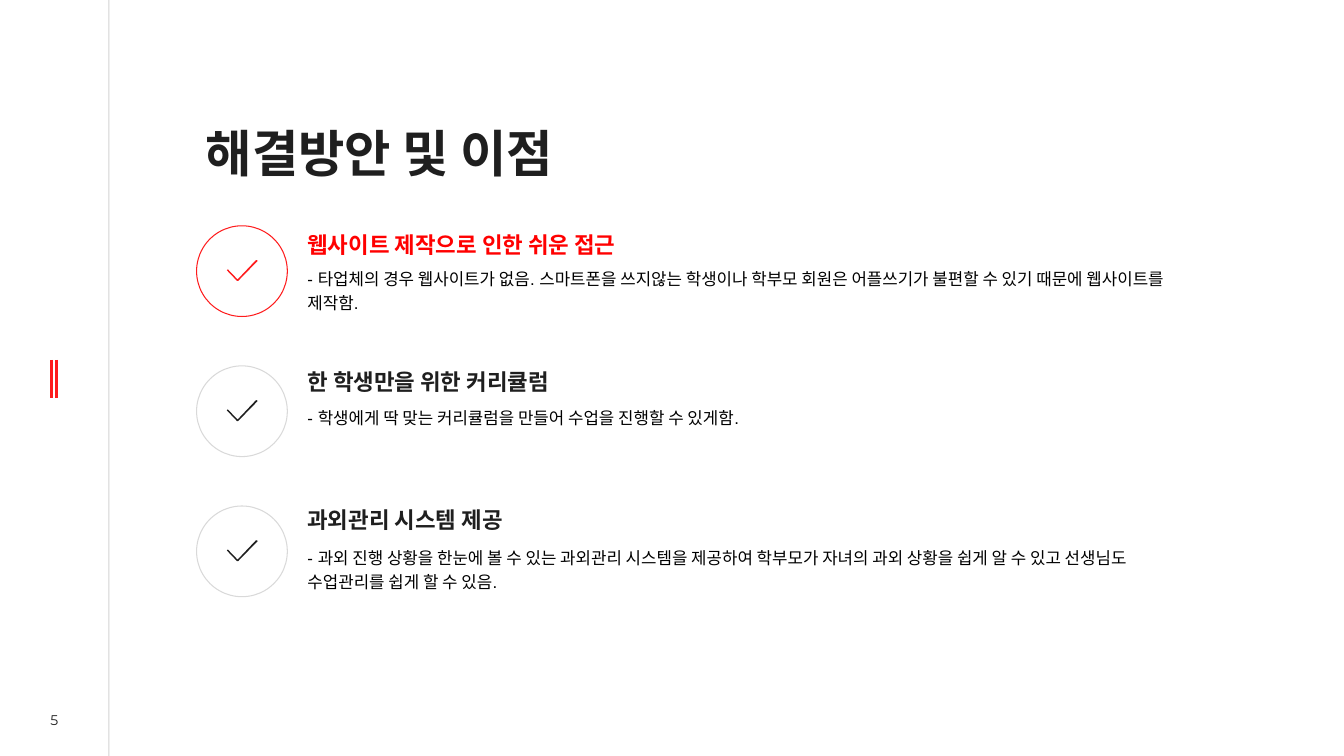
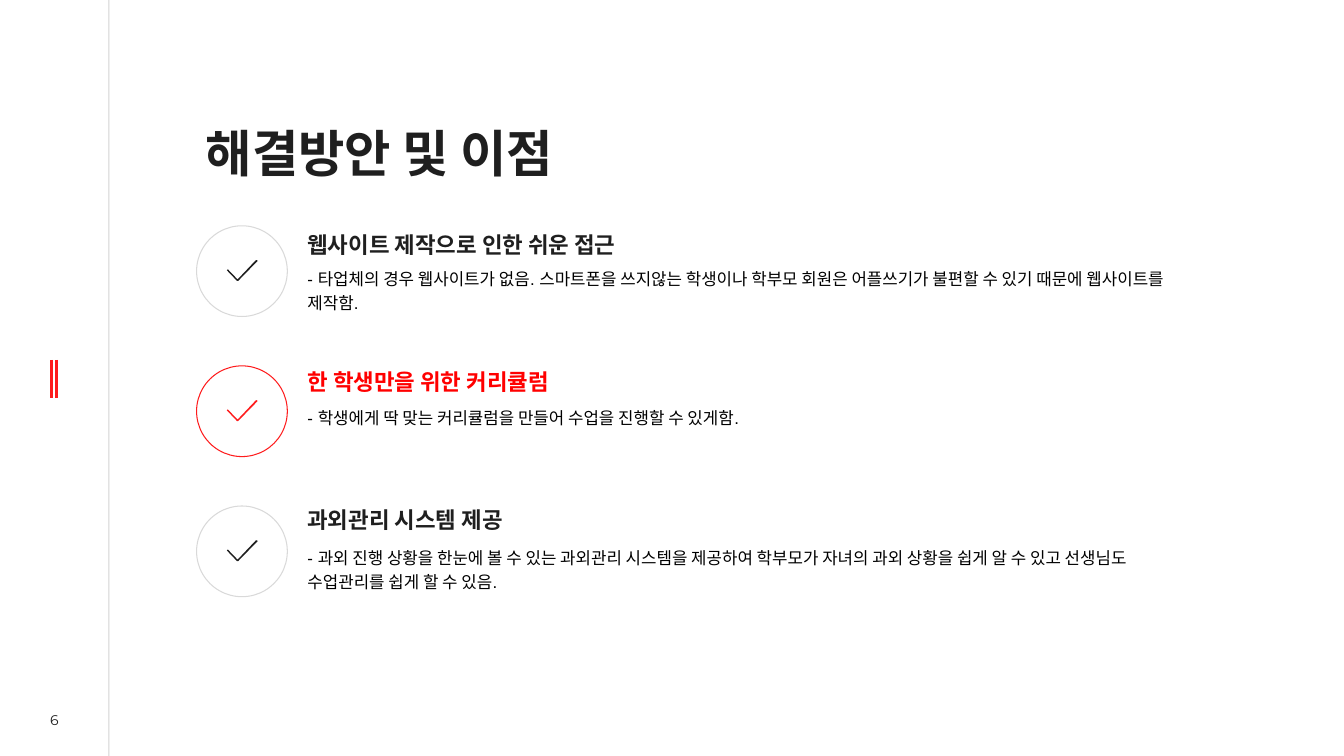
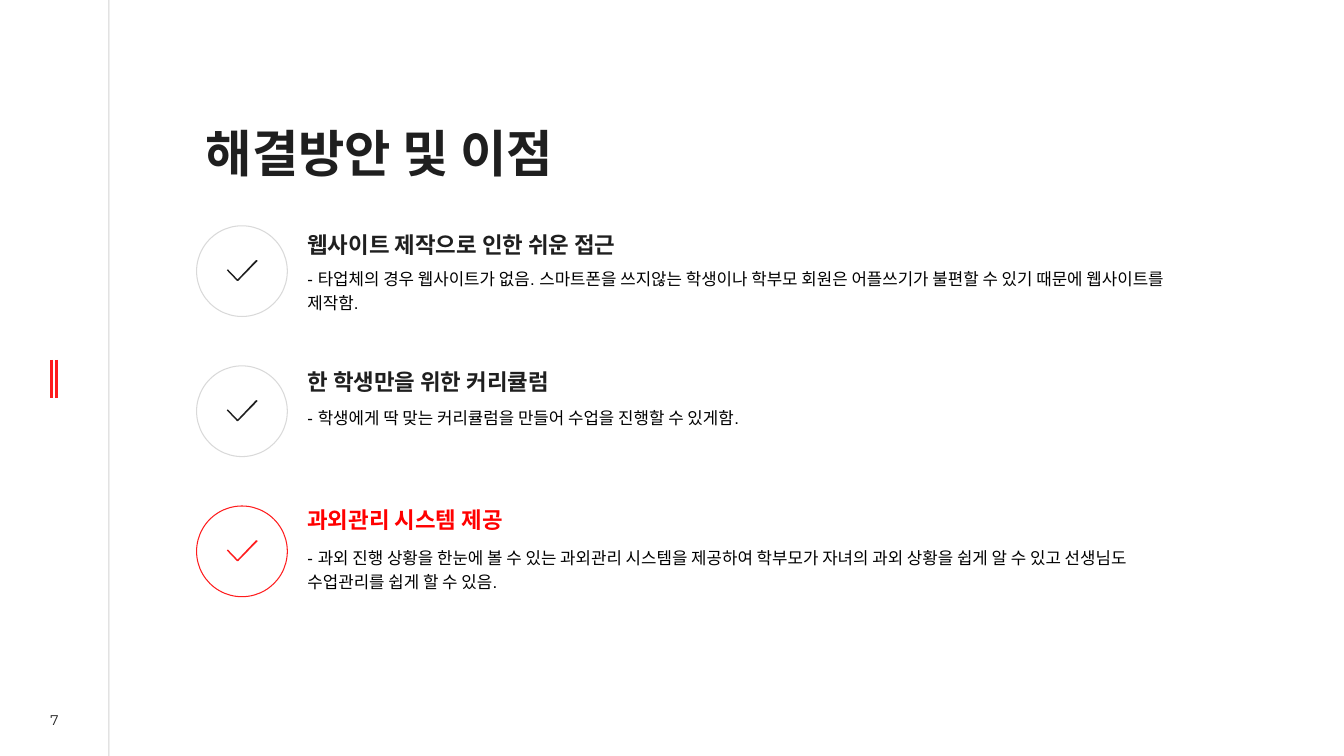
import pptx
import pptx.dml.color
import pptx.enum.shapes
import pptx.enum.text
import pptx.oxml.ns
import pptx.util
from lxml import etree

Inches = pptx.util.Inches
Pt = pptx.util.Pt
RGB = pptx.dml.color.RGBColor.from_string
PP_ALIGN = pptx.enum.text.PP_ALIGN
ANCHOR = pptx.enum.text.MSO_ANCHOR
qn = pptx.oxml.ns.qn

# Shared styles
COLORS = {"ink": "1F1F1F", "accent": "FE1C1D", "highlight": "FF0000",
          "ring": "D9D9D9", "body": "000000"}
TITLE = {"name": "Arial", "size": Pt(36), "bold": True}
HEADING = {"name": "Arial", "size": Pt(16), "bold": True}
BODY = {"name": "Arial", "size": Pt(12), "bold": False}
NUMBER = {"name": "Montserrat", "size": Pt(10), "bold": False}

# Content
POINTS = [
    ("웹사이트 제작으로 인한 쉬운 접근",
     "- 타업체의 경우 웹사이트가 없음. 스마트폰을 쓰지않는 학생이나 학부모 회원은 "
     "어플쓰기가 불편할 수 있기 때문에 웹사이트를 제작함.", 8.77),
    ("한 학생만을 위한 커리큘럼",
     "- 학생에게 딱 맞는 커리큘럼을 만들어 수업을 진행할 수 있게함.", 8.57),
    ("과외관리 시스템 제공",
     "- 과외 진행 상황을 한눈에 볼 수 있는 과외관리 시스템을 제공하여 학부모가 자녀의 "
     "과외 상황을 쉽게 알 수 있고 선생님도 수업관리를 쉽게 할 수 있음.", 8.57),
]
# Check mark outline, in thousandths of an inch
CHECK = [(300, 0), (288, 2), (107, 193), (10, 92), (0, 102),
         (102, 208), (112, 208), (305, 10)]
FIRST_NUMBER = 5


def write(sp, text, font, color, spacing=1.0, top=0.05, bottom=0.05,
          align=PP_ALIGN.LEFT, anchor=ANCHOR.TOP):
    tf = sp.text_frame
    frame = {"word_wrap": True, "auto_size": pptx.enum.text.MSO_AUTO_SIZE.NONE,
             "vertical_anchor": anchor, "margin_left": 0, "margin_right": 0,
             "margin_top": Inches(top), "margin_bottom": Inches(bottom)}
    for name, value in frame.items():
        setattr(tf, name, value)
    p = tf.paragraphs[0]
    p.alignment = align
    p.line_spacing = spacing
    r = p.add_run()
    r.text = text
    for name, value in font.items():
        setattr(r.font, name, value)
    r.font.color.rgb = RGB(COLORS[color])


def add_box(s, left, top, width, height):
    return s.shapes.add_textbox(Inches(left), Inches(top), Inches(width), Inches(height))


prs = pptx.Presentation()
prs.slide_width = Inches(13.33)
prs.slide_height = Inches(7.5)
layout = prs.slide_layouts.get_by_name("Title Only")

# Title position, inherited by every slide
title = layout.placeholders[0]
title.left, title.top = Inches(2.04), Inches(1.12)
title.width, title.height = Inches(3.86), Inches(0.97)

slides = [prs.slides.add_slide(layout) for _ in POINTS]

# Side rail and accent bars, drawn once and moved to the layout
for x, top, bottom, color, weight in [(1.08, 0, 7.5, "ink", 0.75),
                                      (0.51, 3.57, 3.95, "accent", 2),
                                      (0.56, 3.57, 3.95, "accent", 2)]:
    line = slides[0].shapes.add_connector(
        pptx.enum.shapes.MSO_CONNECTOR.STRAIGHT,
        Inches(x), Inches(top), Inches(x), Inches(bottom))
    line.line.color.rgb = RGB(COLORS[color])
    line.line.width = Pt(weight)
    etree.SubElement(line.element.spPr, qn("a:effectLst"))
    if color == "ink":
        srgb = line.element.spPr.find(".//" + qn("a:srgbClr"))
        etree.SubElement(srgb, qn("a:alpha"), val="20000")
    layout.shapes.element.append(line.element)

# Each slide highlights one point
for active, s in enumerate(slides):
    write(s.shapes.title, "해결방안 및 이점", TITLE, "ink", 0.8, top=0.21, bottom=0)
    write(add_box(s, 0.26, 7.02, 0.56, 0.25), str(FIRST_NUMBER + active), NUMBER, "ink",
          top=0, bottom=0, align=PP_ALIGN.CENTER, anchor=ANCHOR.MIDDLE)

    for i, (heading, body, width) in enumerate(POINTS):
        on = i == active
        ring_top = 2.24 + 1.39 * i

        # Ring
        ring = s.shapes.add_shape(pptx.enum.shapes.MSO_SHAPE.OVAL, Inches(1.95),
                                  Inches(ring_top), Inches(0.9), Inches(0.9))
        ring.shadow.inherit = False
        ring.fill.background()
        ring.line.color.rgb = RGB(COLORS["accent" if on else "ring"])
        ring.line.width = Pt(0.75)

        # Check mark
        outline = s.shapes.build_freeform(*CHECK[0], scale=Inches(0.001))
        outline.add_line_segments(CHECK[1:], close=True)
        check = outline.convert_to_shape(Inches(2.25), Inches(ring_top + 0.34))
        check.shadow.inherit = False
        check.fill.solid()
        check.fill.fore_color.rgb = RGB(COLORS["accent" if on else "ink"])
        check.line.fill.background()

        # Heading and explanation
        write(add_box(s, 3.05, 2.32 + 1.36 * i, 8.57, 0.31), heading, HEADING,
              "highlight" if on else "ink", 0.7)
        write(add_box(s, 3.05, 2.58 + 1.38 * i, width, 0.57), body, BODY, "body", 1.2)

prs.save("out.pptx")
